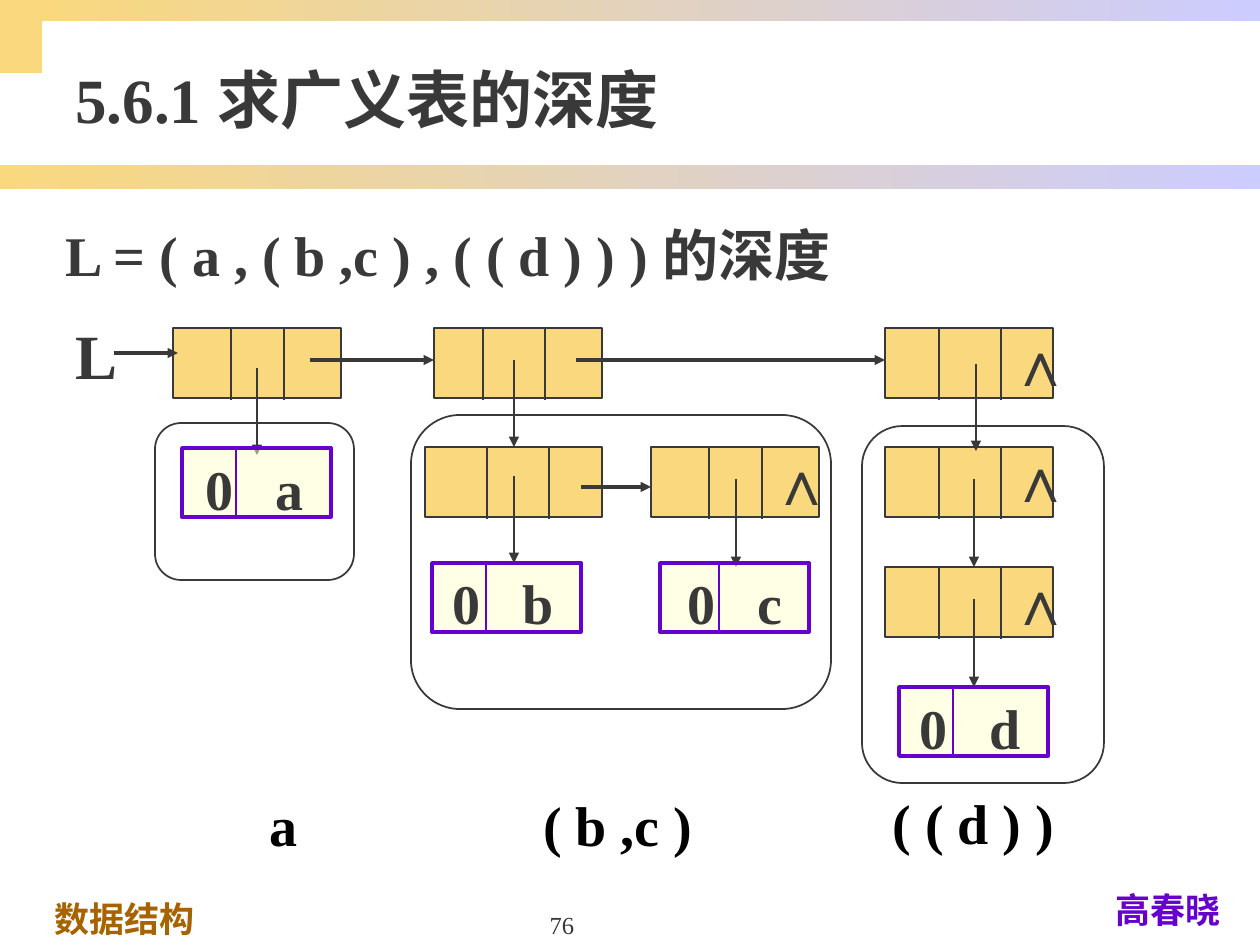
from dataclasses import dataclass

from lxml.etree import SubElement
from pptx import Presentation
from pptx.dml.color import RGBColor
from pptx.enum.shapes import MSO_CONNECTOR, MSO_SHAPE
from pptx.enum.text import MSO_ANCHOR, MSO_AUTO_SIZE, PP_ALIGN
from pptx.oxml.ns import qn
from pptx.util import Pt


@dataclass(frozen=True)
class Theme:
    font: str = "Times New Roman"
    gold: str = "F9D87E"
    lilac: str = "CCCCFF"
    cream: str = "FFFFCC"
    violet: str = "6600CC"
    brown: str = "A66300"
    ink: str = "393939"
    black: str = "000000"
    title: int = 36
    body: int = 32
    foot: int = 20
    page: int = 14


T = Theme()
SCALE = 914400 / 126
LEFT, MID, RIGHT = PP_ALIGN.LEFT, PP_ALIGN.CENTER, PP_ALIGN.RIGHT

CORNER = (0, 0, 42, 73)
BANDS = [(0, 165, 1260, 24), (42, 0, 1218, 21)]
TITLE = ("5.6.1 求广义表的深度", (63, 31, 1197, 135))
PAGE = ("76", (431, 882, 262, 63))
FOOT = [
    ("数据结构", (42, 891, 441, 54), T.brown, LEFT),
    ("高春晓", (1086, 882, 164, 54), T.violet, MID),
]
LIST = ("L = ( a , ( b ,c ) , ( ( d ) ) ) 的深度", (53, 214, 1133, 79))
HEAD = ("L", (63, 311, 67, 88))
PARTS = [
    ("a", (236, 776, 74, 97), RIGHT, 15, True),
    ("( b ,c )", (530, 776, 175, 97), RIGHT, 15, False),
    ("( ( d ) )", (866, 782, 215, 79), MID, 6, True),
]
FRAMES = [(155, 423, 199, 157), (411, 415, 420, 294), (862, 426, 242, 357)]

NODE_H, CUT_H = 70, 72
NODES = [
    (173, 328, 168, (231, 284)),
    (434, 328, 168, (483, 545)),
    (885, 328, 168, (939, 1001)),
    (425, 447, 177, (487, 549)),
    (651, 447, 168, (709, 762)),
    (885, 447, 168, (939, 1001)),
    (885, 567, 168, (939, 1001)),
]
LEAF_W, LEAF_H, LEAF_TAB = 149, 69, 70
LEAVES = [
    (182, 448, 236, "a", 24),
    (432, 563, 486, "b", 21),
    (660, 563, 719, "c", 28),
    (899, 687, 953, "d", 21),
]
NILS = [(997, 318), (997, 434), (997, 557), (758, 437)]
NEXT = [(114, 353, 178), (310, 360, 434), (576, 360, 885), (581, 487, 651)]
DOWN = [
    (257, 368, 455), (514, 360, 447), (514, 476, 563), (736, 479, 567),
    (976, 364, 451), (974, 479, 567), (974, 599, 687),
]


def px(n):
    return round(n * SCALE)


def rgb(code):
    return RGBColor.from_string(code)


def shape(box, fill=None, line=None, wide=1, kind=MSO_SHAPE.RECTANGLE):
    item = slide.shapes.add_shape(kind, *map(px, box))
    item.shadow.inherit = False
    if fill:
        item.fill.solid()
        item.fill.fore_color.rgb = rgb(fill)
    else:
        item.fill.background()
    if line:
        item.line.color.rgb = rgb(line)
        item.line.width = Pt(wide)
    else:
        item.line.fill.background()
    return item


def band(box):
    fill = shape(box).fill
    fill.gradient()
    fill.gradient_angle = 0
    for stop, code in zip(fill.gradient_stops, (T.gold, T.lilac)):
        stop.color.rgb = rgb(code)


def link(x1, y1, x2, y2, color=T.ink, wide=0.75, arrow=False):
    item = slide.shapes.add_connector(
        MSO_CONNECTOR.STRAIGHT, *map(px, (x1, y1, x2, y2)))
    item.line.color.rgb = rgb(color)
    item.line.width = Pt(wide)
    if arrow:
        SubElement(item.line._get_or_add_ln(), qn("a:tailEnd"), type="triangle")
    SubElement(item._element.spPr, qn("a:effectLst"))


def write(frame, text, size, color=T.ink, bold=True, align=LEFT, gap=True):
    para = frame.paragraphs[0]
    para.alignment = align
    if gap:
        para.space_before = Pt(size / 8)
    run = para.add_run()
    run.text = text
    font = run.font
    font.name, font.size, font.bold = T.font, Pt(size), bold
    font.color.rgb = rgb(color)
    return para


def label(text, box, size, wrap=True, pad=6, grow=True,
          anchor=MSO_ANCHOR.TOP, **style):
    frame = slide.shapes.add_textbox(*map(px, box)).text_frame
    frame.word_wrap = wrap
    frame.vertical_anchor = anchor
    frame.margin_top = frame.margin_bottom = px(pad)
    frame.auto_size = (MSO_AUTO_SIZE.SHAPE_TO_FIT_TEXT if grow
                       else MSO_AUTO_SIZE.NONE)
    write(frame, text, size, **style)


def node(x, y, w, cuts):
    shape((x, y, w, NODE_H), T.gold, T.ink, 1.5)
    for cut in cuts:
        link(cut, y, cut, y + CUT_H)


def leaf(x, y, cut, atom, inset):
    item = shape((x, y, LEAF_W, LEAF_H), T.cream, T.violet, 2)
    tint = item._element.spPr.find(qn("a:solidFill"))[0]
    SubElement(tint, qn("a:alpha"), val="50000")
    frame = item.text_frame
    frame.word_wrap = True
    frame.vertical_anchor = MSO_ANCHOR.TOP
    frame.margin_left, frame.margin_right = px(inset), 0
    frame.margin_top, frame.margin_bottom = px(6), 0
    para = write(frame, "0\t" + atom, T.body)
    tabs = SubElement(para._p.get_or_add_pPr(), qn("a:tabLst"))
    SubElement(tabs, qn("a:tab"), pos=str(px(LEAF_TAB)), algn="l")
    link(cut, y, cut, y + LEAF_H, T.violet)


deck = Presentation()
deck.slide_width, deck.slide_height = px(1260), px(945)
slide = deck.slides.add_slide(deck.slide_layouts[6])

shape(CORNER, T.gold)
for box in BANDS:
    band(box)
for text, box, color, align in FOOT:
    label(text, box, T.foot, color=color, align=align)
label(*PAGE, T.page, grow=False, anchor=MSO_ANCHOR.BOTTOM, bold=False,
      align=MID, gap=False)
label(*TITLE, T.title, grow=False, anchor=MSO_ANCHOR.MIDDLE, gap=False)
label(*LIST, T.body)
for text, box, align, pad, wrap in PARTS:
    label(text, box, T.body, wrap, pad, color=T.black, align=align)
for box in FRAMES:
    shape(box, None, T.ink, 1, MSO_SHAPE.FLOWCHART_ALTERNATE_PROCESS)
for row in NODES:
    node(*row)
label(*HEAD, T.title, wrap=False, align=RIGHT)
for x, y, end in NEXT:
    link(x, y, end, y, wide=1.75, arrow=True)
for x, y, end in DOWN:
    link(x, y, x, end, arrow=True)
for row in LEAVES:
    leaf(*row)
for x, y in NILS:
    label("∧", (x, y, 63, 88), T.title, wrap=False, bold=False, align=RIGHT)

deck.save("out.pptx")
